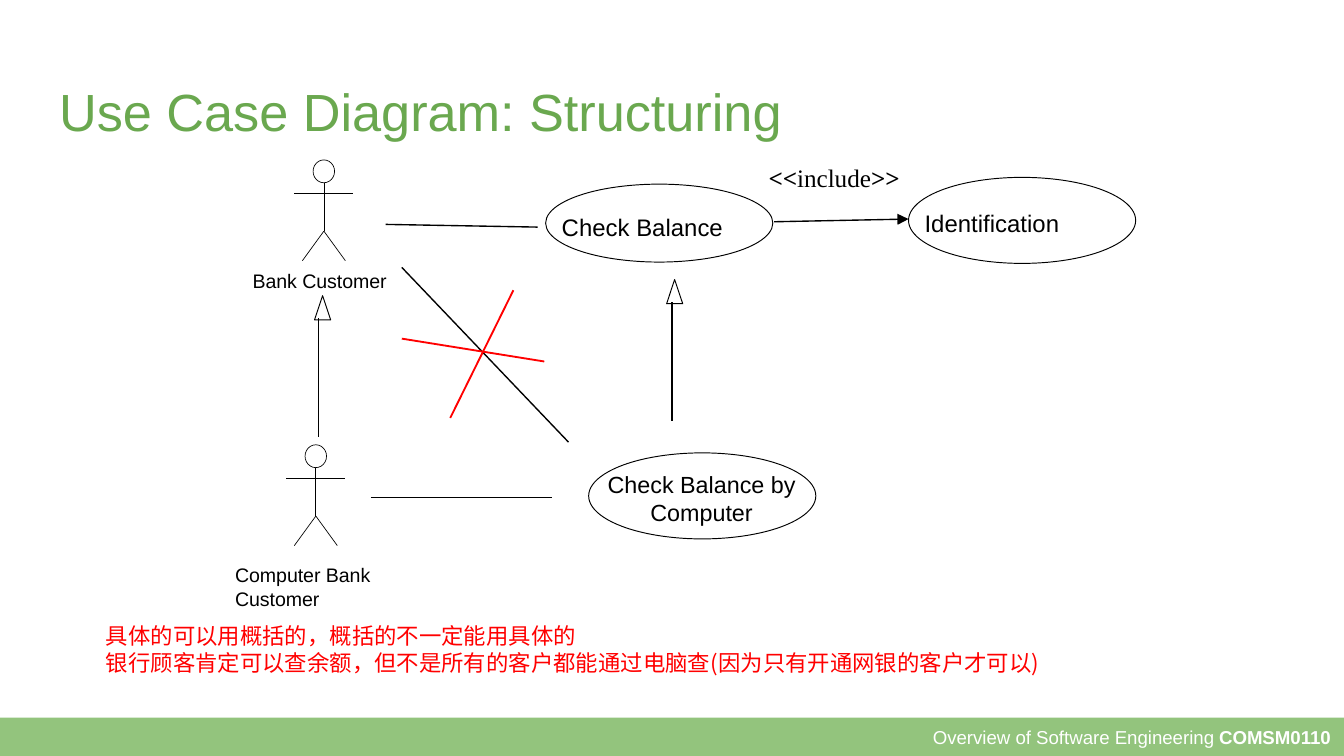
from dataclasses import dataclass
from typing import Optional

from lxml import etree
from pptx import Presentation, util as u
from pptx.dml.color import RGBColor
from pptx.enum import shapes, text
from pptx.oxml.ns import qn

PX = 9144
COLOURS = {"title": "6AA84F", "bar": "93C47D", "ink": "000000",
           "paper": "FFFFFF", "note": "FF0000"}
Box = tuple[int, int, int, int]
Runs = list[tuple[str, bool]]


@dataclass
class Label:
    box: Box
    paragraphs: list[Runs]
    size: float
    colour: str = "ink"
    font: str = "Arial"
    align: text.PP_ALIGN = text.PP_ALIGN.LEFT
    inset: tuple[int, int] = (0, 0)
    wrap: bool = True


@dataclass
class Line:
    start: tuple[int, int]
    end: tuple[int, int]
    width: float = 0.75
    colour: str = "ink"
    arrow: bool = False


def rgb(name: str) -> RGBColor:
    return RGBColor.from_string(COLOURS[name])


def emu(*lengths: int) -> list[int]:
    return [length * PX for length in lengths]


def write(frame, label: Label) -> None:
    frame.word_wrap = label.wrap
    frame.margin_left = frame.margin_right = label.inset[0] * PX
    frame.margin_top = frame.margin_bottom = label.inset[1] * PX
    for index, runs in enumerate(label.paragraphs):
        paragraph = frame.add_paragraph() if index else frame.paragraphs[0]
        paragraph.alignment = label.align
        paragraph.font.size = u.Pt(label.size)
        paragraph.font.color.rgb = rgb(label.colour)
        paragraph.font.name = label.font
        defaults = paragraph._p.get_or_add_pPr().get_or_add_defRPr()
        etree.SubElement(defaults, qn("a:ea"), typeface=label.font)
        for words, bold in runs:
            run = paragraph.add_run()
            run.text = words
            if bold:
                run.font.bold = True


def add_label(slide, label: Label) -> None:
    write(slide.shapes.add_textbox(*emu(*label.box)).text_frame, label)


def add_outline(slide, kind: shapes.MSO_SHAPE, box: Box, width: float,
                fill: Optional[str] = "paper") -> None:
    outline = slide.shapes.add_shape(kind, *emu(*box))
    outline.shadow.inherit = False
    if fill:
        outline.fill.solid()
        outline.fill.fore_color.rgb = rgb(fill)
    else:
        outline.fill.background()
    outline.line.color.rgb = rgb("ink")
    outline.line.width = u.Pt(width)


def add_line(slide, line: Line) -> None:
    connector = slide.shapes.add_connector(
        shapes.MSO_CONNECTOR.STRAIGHT, *emu(*line.start, *line.end))
    connector.line.color.rgb = rgb(line.colour)
    connector.line.width = u.Pt(line.width)
    if line.arrow:
        etree.SubElement(connector.line._get_or_add_ln(), qn("a:tailEnd"), type="triangle")
    etree.SubElement(connector._element.spPr, qn("a:effectLst"))


def add_actor(slide, left: int, top: int) -> None:
    add_outline(slide, shapes.MSO_SHAPE.OVAL, (left + 14, top, 16, 17), 0.37)
    limbs = [((0, 25), (44, 25)), ((22, 17), (22, 53)),
             ((22, 53), (6, 75)), ((22, 53), (38, 75))]
    for (x1, y1), (x2, y2) in limbs:
        add_line(slide, Line((left + x1, top + y1), (left + x2, top + y2), 0.37))


def add_generalization(slide, stem: int, tip: tuple[int, int]) -> None:
    x, y = tip
    add_outline(slide, shapes.MSO_SHAPE.ISOSCELES_TRIANGLE, (x - 6, y, 12, 18), 0.5, None)
    add_line(slide, Line((stem, y + 17), (stem, y + 105)))


def add_footer(slide, footer: Label) -> None:
    bar = slide.shapes.add_shape(shapes.MSO_SHAPE.RECTANGLE, *emu(*footer.box))
    bar.shadow.inherit = False
    bar.fill.solid()
    bar.fill.fore_color.rgb = rgb("bar")
    bar.line.fill.background()
    bar.text_frame.vertical_anchor = text.MSO_ANCHOR.MIDDLE
    write(bar.text_frame, footer)


def format_title(heading, title: Label) -> None:
    heading.left, heading.top, heading.width, heading.height = emu(*title.box)
    heading.text_frame.vertical_anchor = text.MSO_ANCHOR.TOP
    heading.text_frame.auto_size = text.MSO_AUTO_SIZE.NONE
    write(heading.text_frame, title)


TITLE = Label((34, 49, 932, 63), [[("Use Case Diagram: Structuring", False)]],
              28, "title", inset=(10, 10))
FOOTER = Label((0, 534, 1000, 29),
               [[("Overview of Software Engineering ", False), ("COMSM0110", True)]],
               10, "paper", align=text.PP_ALIGN.RIGHT, inset=(10, 0))
USE_CASES = [(676, 132, 169, 64), (406, 137, 169, 58), (438, 337, 169, 64)]
ACTORS = [(219, 119), (213, 331)]
GENERALIZATIONS = [(237, (240, 220)), (500, (502, 208))]
LINES = [
    Line((576, 165), (676, 163), arrow=True),
    Line((287, 167), (400, 169)),
    Line((276, 370), (411, 370)),
    Line((299, 199), (423, 329)),
    Line((405, 269), (299, 252), 1, "note"),
    Line((382, 216), (335, 311), 1, "note"),
]
LABELS = [
    Label((688, 155, 140, 21), [[("Identification", False)]], 12.8),
    Label((418, 158, 140, 21), [[("Check Balance", False)]], 12.8),
    Label((444, 350, 156, 42), [[("Check Balance by Computer", False)]], 12.5,
          align=text.PP_ALIGN.CENTER),
    Label((188, 200, 113, 18), [[("Bank Customer", False)]], 10.5),
    Label((175, 419, 113, 35), [[("Computer Bank Customer", False)]], 10.5),
    Label((562, 116, 119, 33), [[("<<", True), ("include", False), (">>", True)]], 13.5,
          font="Times New Roman", inset=(10, 5), wrap=False),
    Label((69, 458, 738, 50),
          [[("具体的可以用概括的，概括的不一定能用具体的", False)],
           [("银行顾客肯定可以查余额，但不是所有的客户都能通过电脑查(因为只有开通网银的客户才可以)",
             False)]],
          12, "note", "Noto Sans CJK SC", inset=(10, 5)),
]


def main() -> None:
    deck = Presentation()
    deck.slide_width = u.Inches(10)
    deck.slide_height = deck.slide_width * 9 // 16
    slide = deck.slides.add_slide(deck.slide_layouts[5])

    format_title(slide.shapes.title, TITLE)
    add_footer(slide, FOOTER)
    for box in USE_CASES:
        add_outline(slide, shapes.MSO_SHAPE.OVAL, box, 0.5)
    for left, top in ACTORS:
        add_actor(slide, left, top)
    for stem, tip in GENERALIZATIONS:
        add_generalization(slide, stem, tip)
    for line in LINES:
        add_line(slide, line)
    for label in LABELS:
        add_label(slide, label)
    deck.save("out.pptx")


if __name__ == "__main__":
    main()
